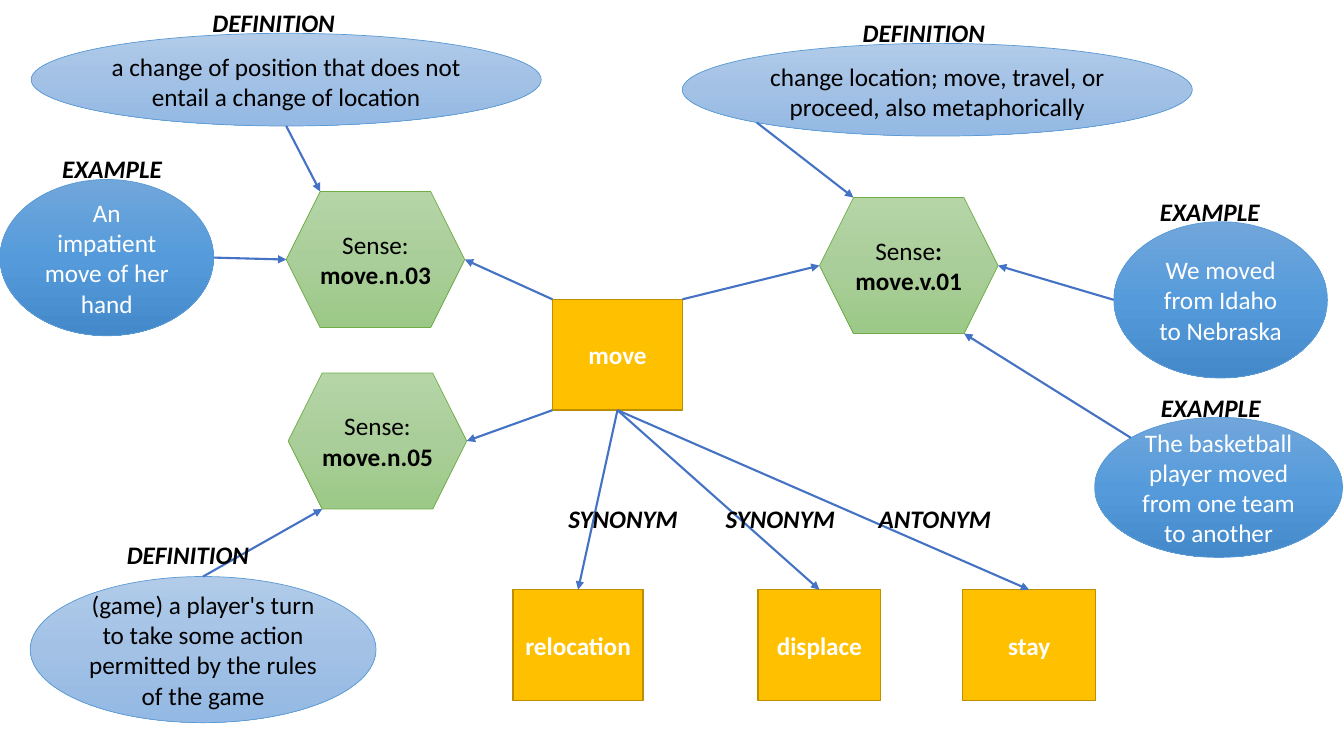
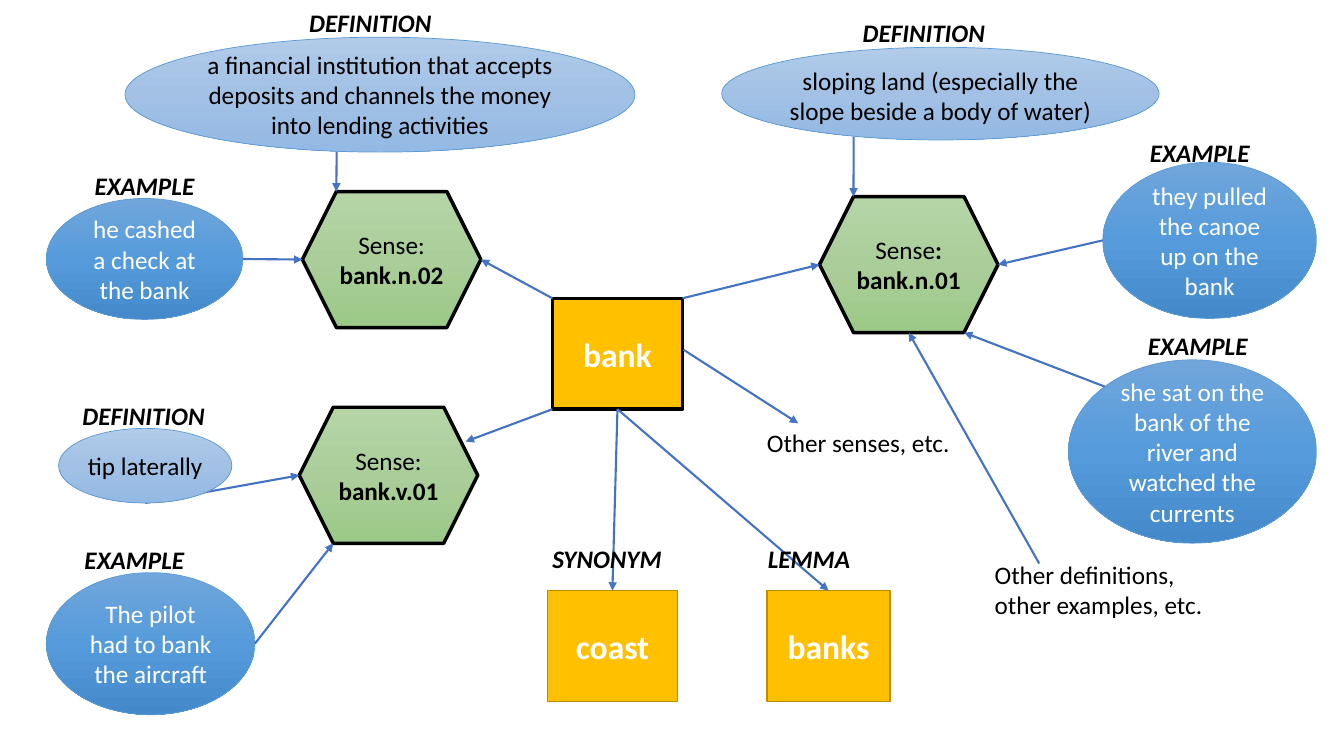
from copy import deepcopy
from dataclasses import dataclass
from typing import Union

import pptx
import pptx.dml.color
import pptx.enum.dml
import pptx.enum.shapes
import pptx.enum.text
import pptx.oxml
import pptx.oxml.ns
import pptx.slide
import pptx.text.text
import pptx.util

Pt = pptx.util.Pt
Form = pptx.enum.shapes.MSO_SHAPE
Anchor = pptx.enum.text.MSO_ANCHOR
Align = pptx.enum.text.PP_ALIGN
Spot = tuple[float, float]


# Theme: colours, type sizes and the look of each kind of node
@dataclass(frozen=True)
class Look:
    form: Form
    fill: tuple[str, ...]
    edge: str
    width: float
    ink: str
    inset: Spot
    nook: Spot  # corner site, as a share of width and height


@dataclass(frozen=True)
class Theme:
    font: str = "Calibri"
    size: int = 18
    large: int = 24
    black: str = "000000"
    arrow: str = "4472C4"
    stroke: float = 1.5
    heavy: float = 2.5
    sense: Look = Look(Form.HEXAGON, ("B5D5A7", "AACE9A", "9CC987"), "70AD47", 0.5,
                       "000000", (2.88, 3.6), (0.19, 0))
    gloss: Look = Look(Form.OVAL, ("B1CBE9", "A3C1E5", "93B9E4"), "5B9BD5", 0.5,
                       "000000", (0, 2.88), (0.146, 0.146))
    sample: Look = Look(Form.OVAL, ("71A6DB", "559BDB", "448ACA"), "5B9BD5", 0.5,
                        "FFFFFF", (7.2, 3.6), (0.146, 0.146))
    word: Look = Look(Form.RECTANGLE, ("FFC000",), "BD8E00", 1,
                      "FFFFFF", (7.2, 3.6), (0, 0))


THEME = Theme()


# Parts of a word map
@dataclass(frozen=True)
class Node:
    look: Look
    left: float
    top: float
    wide: float
    high: float
    plain: str = ""
    bold: str = ""
    size: int = THEME.size
    heavy: bool = False
    high_text: bool = False

    def site(self, name: str) -> Spot:
        """Point on the edge, named by compass: n, e, s, w, nw, ne, sw, se."""
        dx, dy = self.look.nook
        x = 1 - dx if "e" in name else dx
        y = 1 - dy if "s" in name else dy
        if len(name) == 1:
            x = {"w": 0, "e": 1}.get(name, 0.5)
            y = {"n": 0, "s": 1}.get(name, 0.5)
        return self.left + x * self.wide, self.top + y * self.high


@dataclass(frozen=True)
class Arrow:
    start: Spot
    end: Spot


@dataclass(frozen=True)
class Label:
    text: str
    left: float
    top: float
    wide: float = 103
    high: float = 28.8
    strong: bool = True


Part = Union[Node, Arrow, Label]


def sense(left: float, top: float, plain: str, bold: str, heavy: bool = False) -> Node:
    return Node(THEME.sense, left, top, 127.5, 97.2, plain, bold, heavy=heavy)


def word(left: float, top: float, text: str, wide: float = 92.9,
         size: int = THEME.size, heavy: bool = False) -> Node:
    return Node(THEME.word, left, top, wide, 79.2, bold=text, size=size, heavy=heavy)


def gloss(left: float, top: float, wide: float, high: float, text: str,
          high_text: bool = False) -> Node:
    return Node(THEME.gloss, left, top, wide, high, text, high_text=high_text)


def sample(left: float, top: float, wide: float, high: float, text: str) -> Node:
    return Node(THEME.sample, left, top, wide, high, text)


# Drawing
def tint(code: str) -> pptx.dml.color.RGBColor:
    return pptx.dml.color.RGBColor.from_string(code)


def style(run: pptx.text.text._Run, size: int, ink: str, bold: bool,
          slant: bool = False) -> None:
    run.font.name, run.font.size = THEME.font, Pt(size)
    run.font.bold, run.font.italic = bold, slant
    run.font.color.rgb = tint(ink)


def paint(shape, codes: tuple[str, ...]) -> None:
    if len(codes) == 1:
        shape.fill.solid()
        shape.fill.fore_color.rgb = tint(codes[0])
        return
    shape.fill.gradient()
    shape.fill.gradient_angle = 270
    stops = shape._element.spPr.find(".//" + pptx.oxml.ns.qn("a:gsLst"))
    while len(stops) < len(codes):
        stops.insert(1, deepcopy(stops[0]))
    for i, (stop, code) in enumerate(zip(shape.fill.gradient_stops, codes)):
        stop.position = i / (len(codes) - 1)
        stop.color.rgb = tint(code)


def draw_node(slide: pptx.slide.Slide, node: Node) -> None:
    look = node.look
    shape = slide.shapes.add_shape(look.form, Pt(node.left), Pt(node.top),
                                   Pt(node.wide), Pt(node.high))
    shape.shadow.inherit = False
    paint(shape, look.fill)
    shape.line.color.rgb = tint(THEME.black if node.heavy else look.edge)
    shape.line.width = Pt(THEME.heavy if node.heavy else look.width)
    frame = shape.text_frame
    frame.word_wrap = True
    frame.vertical_anchor = Anchor.TOP if node.high_text else Anchor.MIDDLE
    frame.margin_left = frame.margin_right = Pt(look.inset[0])
    frame.margin_top = frame.margin_bottom = Pt(look.inset[1])
    para = frame.paragraphs[0]
    para.alignment = Align.CENTER
    para.text = node.plain
    for run in para.runs:
        style(run, node.size, look.ink, False)
    if node.bold:
        run = para.add_run()
        run.text = node.bold
        style(run, node.size, look.ink, True)


def draw_arrow(slide: pptx.slide.Slide, arrow: Arrow) -> None:
    ends = [Pt(v) for v in (*arrow.start, *arrow.end)]
    line = slide.shapes.add_connector(pptx.enum.shapes.MSO_CONNECTOR.STRAIGHT, *ends)
    line.line.color.rgb = tint(THEME.arrow)
    line.line.width = Pt(THEME.stroke)
    space = pptx.oxml.ns.nsdecls("a")
    tip = pptx.oxml.parse_xml(f'<a:tailEnd {space} type="triangle"/>')
    line.line._get_or_add_ln().append(tip)
    line._element.spPr.append(pptx.oxml.parse_xml(f"<a:effectLst {space}/>"))


def draw_label(slide: pptx.slide.Slide, label: Label) -> None:
    box = slide.shapes.add_textbox(Pt(label.left), Pt(label.top),
                                   Pt(label.wide), Pt(label.high))
    frame = box.text_frame
    frame.word_wrap = True
    frame.auto_size = pptx.enum.text.MSO_AUTO_SIZE.SHAPE_TO_FIT_TEXT
    para = frame.paragraphs[0]
    para.text = label.text
    for run in para.runs:
        style(run, THEME.size, THEME.black, label.strong, label.strong)


PENS = {Node: draw_node, Arrow: draw_arrow, Label: draw_label}


# Slide 1: move
def move_map() -> list[Part]:
    hub = word(394.6, 213.8, "move")
    noun3 = sense(204.5, 136.8, "Sense:\v", "move.n.03")
    noun5 = sense(205.9, 266.4, "Sense:\v", "move.n.05")
    verb = sense(585.4, 141.1, "Sense", ": move.v.01")
    shift = gloss(22.3, 23.8, 364.3, 66.2,
                  "a change of position that does not entail a change of location", True)
    travel = gloss(487.4, 31, 364.3, 66.2,
                   "change location; move, travel, or proceed, also metaphorically", True)
    game = gloss(21.6, 411.8, 247, 104.4, "(game) a player's turn\vto take some action"
                 "\vpermitted by the rules of the game")
    hand = sample(0, 128.2, 152.6, 111.6, "An impatient move of her hand")
    state = sample(795.6, 158.4, 152.6, 111.6, "We moved from Idaho to Nebraska")
    team = sample(781.9, 298.1, 177.1, 100.1,
                  "The basketball player moved from one team to another")
    links = [word(366.5, 421.2, "relocation"), word(541.4, 421.2, "displace", 87.8),
             word(687.6, 421.2, "stay", 95)]
    return [
        noun3, noun5, verb, shift, travel, game, hand, state, team, hub, *links,
        Arrow(hand.site("e"), noun3.site("w")),
        Arrow(shift.site("s"), noun3.site("nw")),
        Arrow(game.site("n"), noun5.site("sw")),
        Arrow(state.site("w"), verb.site("e")),
        Arrow(team.site("nw"), verb.site("se")),
        Arrow(travel.site("sw"), verb.site("nw")),
        Arrow(hub.site("nw"), noun3.site("e")),
        Arrow(hub.site("ne"), verb.site("w")),
        Arrow(hub.site("sw"), noun5.site("e")),
        *(Arrow(hub.site("s"), link.site("n")) for link in links),
        Label("DEFINITION", 144.7, 1.4), Label("DEFINITION", 609.1, 8.6),
        Label("DEFINITION", 83.5, 381.6), Label("EXAMPLE", 37.4, 105.8),
        Label("EXAMPLE", 821.5, 136.8), Label("EXAMPLE", 822.2, 276.5),
        Label("SYNONYM", 398.9, 355.7), Label("SYNONYM", 511.2, 355.7),
        Label("ANTONYM", 620.6, 355.7),
    ]


# Slide 2: bank
def bank_map() -> list[Part]:
    hub = word(394.6, 213.1, "bank", size=THEME.large, heavy=True)
    noun2 = sense(216, 136.8, "Sense:\v", "bank.n.02", True)
    noun1 = sense(585.4, 140.4, "Sense", ": bank.n.01", True)
    verb = sense(213.8, 290.9, "Sense:\v", "bank.v.01", True)
    loan = gloss(89.3, 26.6, 364.3, 82.1, "a financial institution that accepts deposits "
                 "and channels the money into lending activities")
    slope = gloss(515.5, 33.8, 312.5, 66.2,
                  "sloping land (especially the slope beside a body of water)", True)
    tip = gloss(41.8, 306, 123.8, 53.3, "tip laterally")
    check = sample(33.1, 141.8, 140.4, 86.4, "he cashed a check at the bank")
    pilot = sample(33.1, 409, 149, 101.5, "The pilot had to bank the aircraft")
    canoe = sample(787.7, 115.9, 152.6, 111.6, "they pulled the canoe up on the bank")
    river = sample(763.2, 257, 177.1, 131,
                   "she sat on the bank of the river and watched the currents")
    links = [word(391, 421.9, "coast", size=THEME.large),
             word(547.9, 421.9, "banks", 87.8, THEME.large)]
    return [
        noun2, noun1, verb, loan, slope, check, pilot, canoe, river, hub, *links,
        Arrow(check.site("e"), noun2.site("w")),
        Arrow((240.5, 108.7), noun2.site("nw")),
        Arrow((609.8, 97.9), noun1.site("nw")),
        Arrow(canoe.site("w"), noun1.site("e")),
        Arrow(river.site("nw"), noun1.site("se")),
        Arrow((742.3, 402.5), noun1.site("s")),
        Arrow(pilot.site("e"), verb.site("sw")),
        Arrow(tip.site("s"), verb.site("w")),
        Arrow(hub.site("nw"), noun2.site("e")),
        Arrow(hub.site("ne"), noun1.site("w")),
        Arrow(hub.site("sw"), (332.6, 315.4)),
        Arrow((488.2, 249.8), (570.2, 302.4)),
        *(Arrow(hub.site("s"), link.site("n")) for link in links),
        tip,
        Label("DEFINITION", 213.8, 1.4), Label("DEFINITION", 609.1, 8.6),
        Label("DEFINITION", 51.8, 282.2), Label("EXAMPLE", 60.5, 118.1),
        Label("EXAMPLE", 814.3, 94.3), Label("EXAMPLE", 812.9, 232.6),
        Label("EXAMPLE", 53.3, 385.2), Label("SYNONYM", 387.4, 384.5),
        Label("LEMMA", 541.4, 384.5),
        Label("Other senses, etc.", 540.7, 301.7, 192.2, strong=False),
        Label("Other definitions,\vother examples, etc.", 703.4, 396, 192.2, 51.1, False),
    ]


# Build the deck
def main() -> None:
    deck = pptx.Presentation()
    deck.slide_width, deck.slide_height = Pt(960), Pt(540)
    for parts in (move_map(), bank_map()):
        slide = deck.slides.add_slide(deck.slide_layouts[6])
        for part in parts:
            PENS[type(part)](slide, part)
    deck.save("out.pptx")


main()
